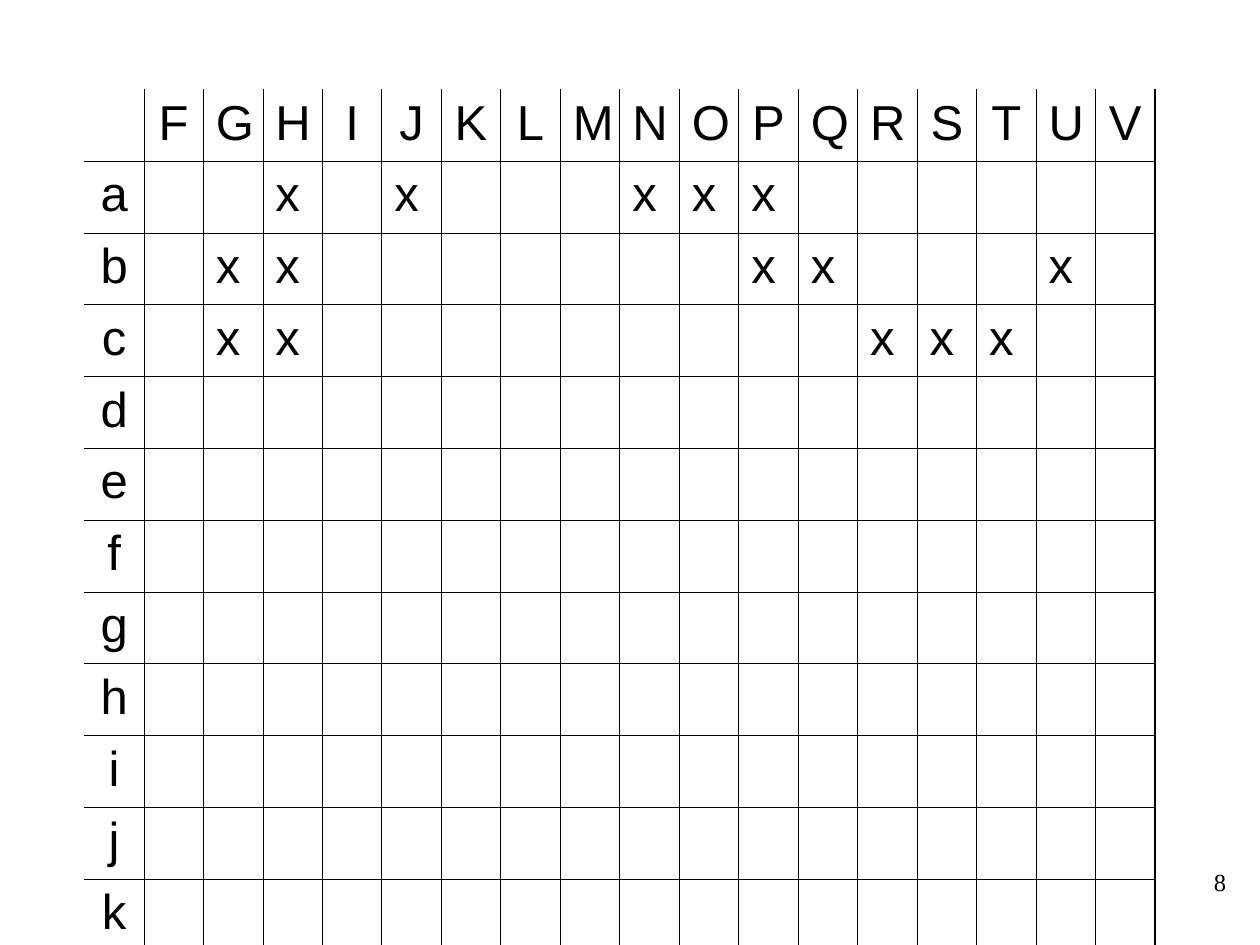
from lxml import etree
from pptx import Presentation
from pptx.dml.color import RGBColor
from pptx.enum.text import MSO_ANCHOR, PP_ALIGN
from pptx.oxml.ns import qn
from pptx.util import Inches, Pt

LEFT, CENTER, RIGHT = PP_ALIGN.LEFT, PP_ALIGN.CENTER, PP_ALIGN.RIGHT
TOP = MSO_ANCHOR.TOP
BLACK = RGBColor(0, 0, 0)
THIN, THICK = Pt(0.45), Pt(1.08)

COLUMN_NAMES = "FGHIJKLMNOPQRSTUV"
ROW_NAMES = "abcdefghijk"
MARKS = {"a": "HJNOP", "b": "GHPQU", "c": "GHRST"}


def write_text(frame, text, size=28, font="Arial", color=BLACK, align=LEFT):
    para = frame.paragraphs[0]
    para.alignment = align
    span = para.add_run()
    span.text = text
    span.font.size = Pt(size)
    span.font.name = font
    span.font.color.rgb = color


def set_borders(cell, left=THIN, right=THIN, top=THIN, bottom=THIN):
    """Draw the four cell borders; a width of None leaves a side open."""
    properties = cell._tc.get_or_add_tcPr()
    sides = (("a:lnL", left), ("a:lnR", right), ("a:lnT", top), ("a:lnB", bottom))
    for position, (tag, width) in enumerate(sides):
        line = etree.Element(qn(tag))
        if width is None:
            etree.SubElement(line, qn("a:noFill"))
        else:
            line.set("w", str(int(width)))
            fill = etree.SubElement(line, qn("a:solidFill"))
            etree.SubElement(fill, qn("a:srgbClr"), val=str(BLACK))
        properties.insert(position, line)


def cell_text(row, column):
    """Return the wording and alignment of one cell of the cross table."""
    if row == 0 or column == 0:
        names = COLUMN_NAMES if row == 0 else ROW_NAMES
        number = row + column
        return (names[number - 1] if number else ""), CENTER
    marked = COLUMN_NAMES[column - 1] in MARKS.get(ROW_NAMES[row - 1], "")
    return ("x" if marked else ""), LEFT


def add_cross_table(page, left, top, width, row_height):
    row_count, column_count = len(ROW_NAMES) + 1, len(COLUMN_NAMES) + 1
    table = page.shapes.add_table(row_count, column_count, left, top,
                                  width, row_height * row_count).table
    table.first_row = False
    table.horz_banding = False
    for column in table.columns:
        column.width = width // column_count
    for row in range(row_count):
        for column in range(column_count):
            cell = table.cell(row, column)
            cell.fill.background()
            cell.vertical_anchor = TOP
            # Open at the left and top, heavier at the right and bottom
            set_borders(cell,
                        left=None if column == 0 else THIN,
                        right=THICK if column == column_count - 1 else THIN,
                        top=None if row == 0 else THIN,
                        bottom=THICK if row == row_count - 1 else THIN)
            text, align = cell_text(row, column)
            if text:
                write_text(cell.text_frame, text, align=align)


def add_page_number(page, left, top, width, height):
    frame = page.shapes.add_textbox(left, top, width, height).text_frame
    frame.word_wrap = True
    write_text(frame, "8", size=14, font="Times New Roman", align=RIGHT)


def main():
    deck = Presentation()
    deck.slide_width, deck.slide_height = Inches(10), Inches(7.5)
    page = deck.slides.add_slide(deck.slide_layouts[6])
    add_cross_table(page, Inches(0.67), Inches(0.71), Inches(8.5), Inches(0.57))
    add_page_number(page, Inches(7.75), Inches(6.83), Inches(2.08), Inches(0.5))
    deck.save("out.pptx")


if __name__ == "__main__":
    main()
